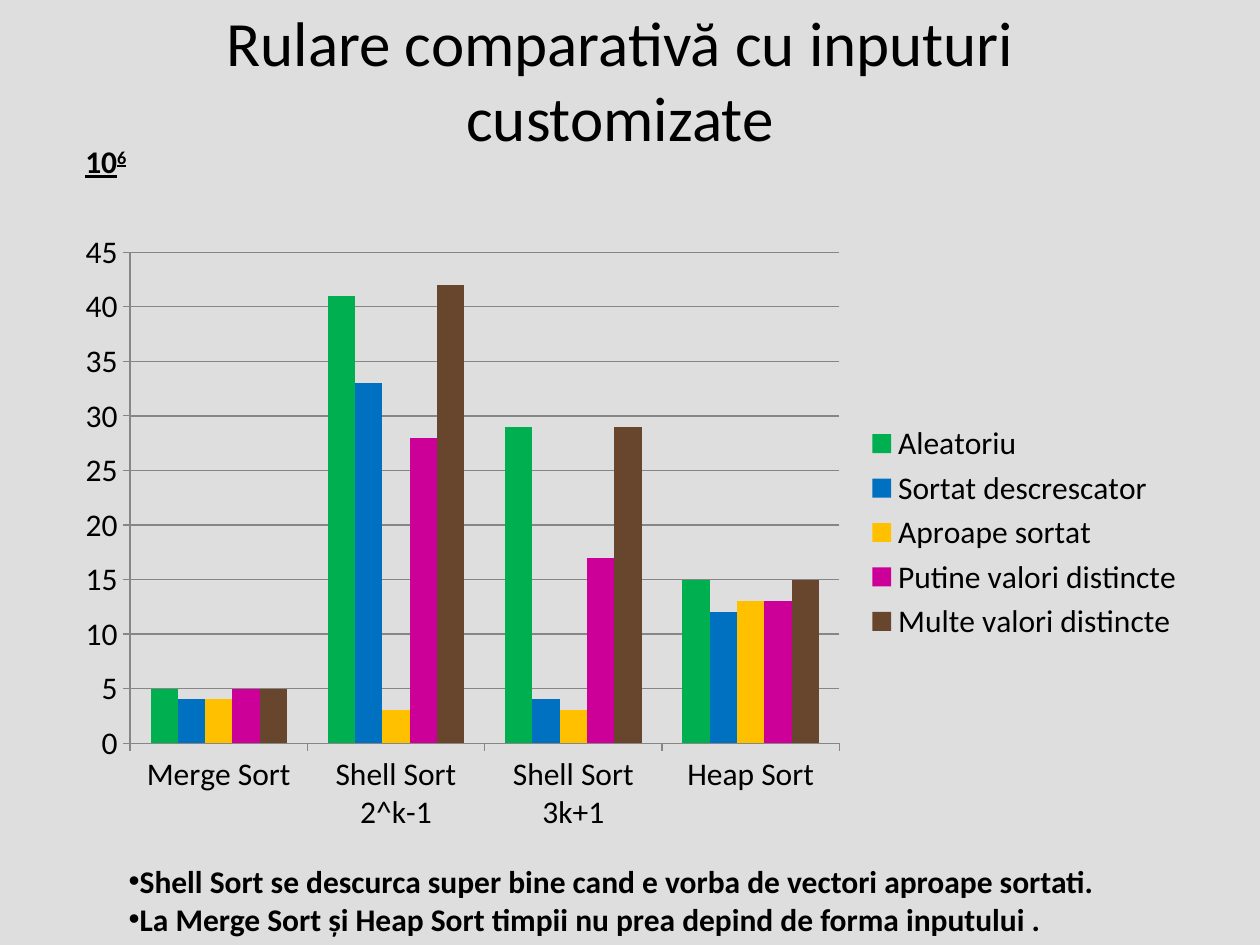
from lxml import etree
from pptx import Presentation
from pptx.chart.data import CategoryChartData
from pptx.dml.color import RGBColor
from pptx.enum.chart import XL_CHART_TYPE, XL_LEGEND_POSITION, XL_TICK_MARK
from pptx.enum.text import MSO_ANCHOR, MSO_AUTO_SIZE, PP_ALIGN
from pptx.oxml.ns import qn
from pptx.util import Cm, Pt

COLUMNS = XL_CHART_TYPE.COLUMN_CLUSTERED
RIGHT = XL_LEGEND_POSITION.RIGHT
OUTSIDE = XL_TICK_MARK.OUTSIDE
GRAY = "868686"


def color(hex_value):
    return RGBColor.from_string(hex_value)


def style(font, size, bold=None):
    font.name = "Calibri"
    font.size = Pt(size)
    font.bold = bold
    font.color.rgb = color("000000")


prs = Presentation()
prs.slide_width, prs.slide_height = Cm(25.4), Cm(19.05)
slide = prs.slides.add_slide(prs.slide_layouts[1])
slide.background.fill.solid()
slide.background.fill.fore_color.rgb = color("DEDEDE")

# Title
title = slide.shapes.title
title.left, title.top, title.width, title.height = Cm(1.07), Cm(0), Cm(22.86), Cm(3.18)
title.text_frame.vertical_anchor = MSO_ANCHOR.MIDDLE
heading = title.text_frame.paragraphs[0]
heading.alignment = PP_ALIGN.CENTER
run = heading.add_run()
run.text = "Rulare comparativă cu inputuri customizate"
style(run.font, 36)

# Running times by algorithm and kind of input
times = CategoryChartData()
times.categories = ["Merge Sort", "Shell Sort 2^k-1", "Shell Sort 3k+1", "Heap Sort"]
inputs = [
    ("Aleatoriu", (5, 41, 29, 15), "00B050"),
    ("Sortat descrescator", (4, 33, 4, 12), "0070C0"),
    ("Aproape sortat", (4, 3, 3, 13), "FFC000"),
    ("Putine valori distincte", (5, 28, 17, 13), "CC0099"),
    ("Multe valori distincte", (5, 42, 29, 15), "68462E"),
]
for name, values, _ in inputs:
    times.add_series(name, values)
chart = slide.shapes.add_chart(
    COLUMNS, Cm(1.27), Cm(4.45), Cm(22.86), Cm(12.57), times).chart
style(chart.font, 18)
chart.has_title = False
chart.has_legend = True
chart.legend.position = RIGHT
chart.legend.include_in_layout = False
style(chart.legend.font, 18)

plot = chart.plots[0]
plot.gap_width = 150
plot.overlap = 0
plot.vary_by_categories = False
for series, (_, _, fill) in zip(plot.series, inputs):
    series.format.fill.solid()
    series.format.fill.fore_color.rgb = color(fill)
    series.invert_if_negative = False

time_axis = chart.value_axis
time_axis.minimum_scale, time_axis.maximum_scale = 0, 45
time_axis.major_unit = 5
time_axis.has_major_gridlines = True
for axis in (chart.category_axis, time_axis):
    axis.major_tick_mark = OUTSIDE
    style(axis.tick_labels.font, 18)
for part in (chart.category_axis, time_axis, time_axis.major_gridlines):
    part.format.line.color.rgb = color(GRAY)
    part.format.line.width = Pt(0.75)

# Unit of the value axis
unit = slide.shapes.add_textbox(Cm(1.47), Cm(2.74), Cm(9.73), Cm(1.02)).text_frame
unit.word_wrap = True
unit.auto_size = MSO_AUTO_SIZE.SHAPE_TO_FIT_TEXT
for text, baseline in (("10", None), ("6", "30000")):
    run = unit.paragraphs[0].add_run()
    run.text = text
    style(run.font, 18, True)
    run.font.underline = True
    if baseline:
        run.font._element.set("baseline", baseline)

# Conclusions
conclusions = slide.placeholders[1]
conclusions.left, conclusions.top = Cm(2.34), Cm(17.25)
conclusions.width, conclusions.height = Cm(21.39), Cm(2.57)
frame = conclusions.text_frame
frame.auto_size = MSO_AUTO_SIZE.NONE
findings = [
    "Shell Sort se descurca super bine cand e vorba de vectori aproape sortati.",
    "La Merge Sort și Heap Sort timpii nu prea depind de forma inputului .",
]
for i, finding in enumerate(findings):
    paragraph = frame.add_paragraph() if i else frame.paragraphs[0]
    paragraph.space_before = Pt(0)
    properties = paragraph._p.get_or_add_pPr()
    properties.set("marL", "0")
    properties.set("indent", "0")
    etree.SubElement(properties, qn("a:buFont")).set("typeface", "Arial")
    etree.SubElement(properties, qn("a:buChar")).set("char", "•")
    run = paragraph.add_run()
    run.text = finding
    style(run.font, 18, True)

prs.save("out.pptx")
